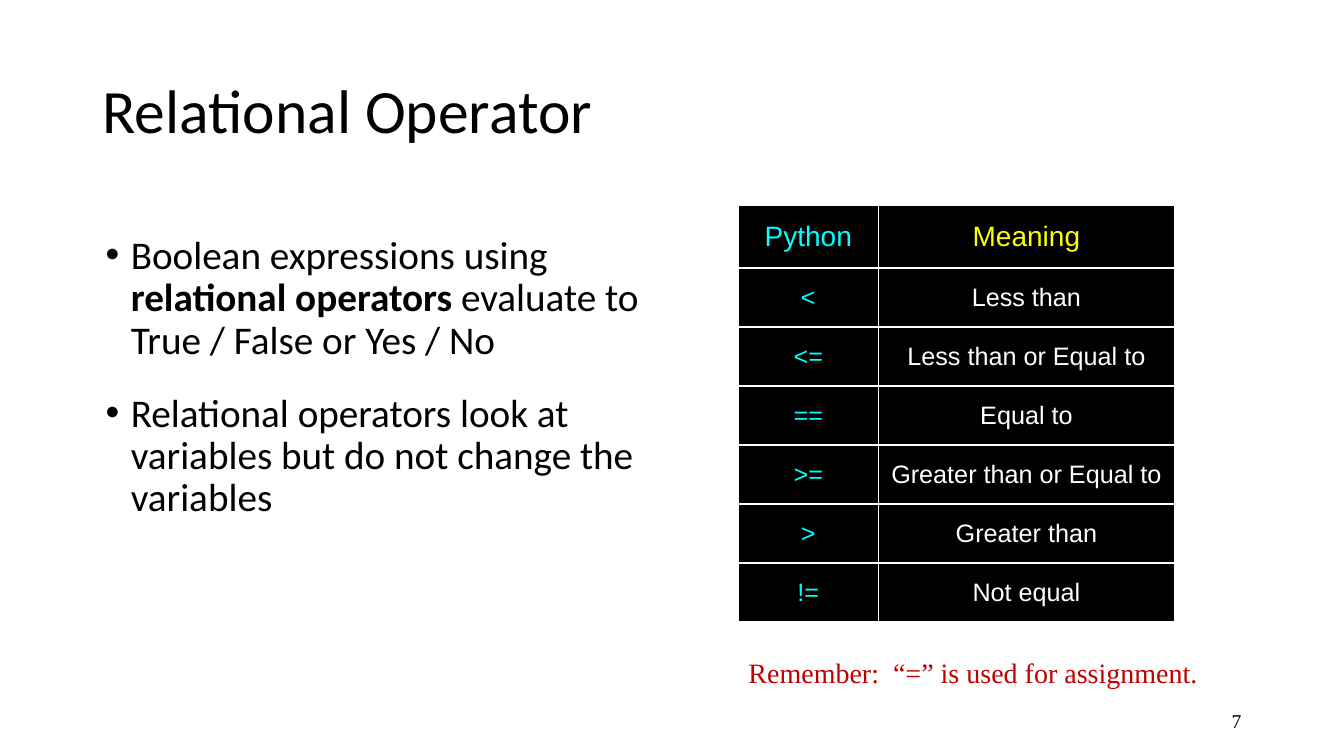
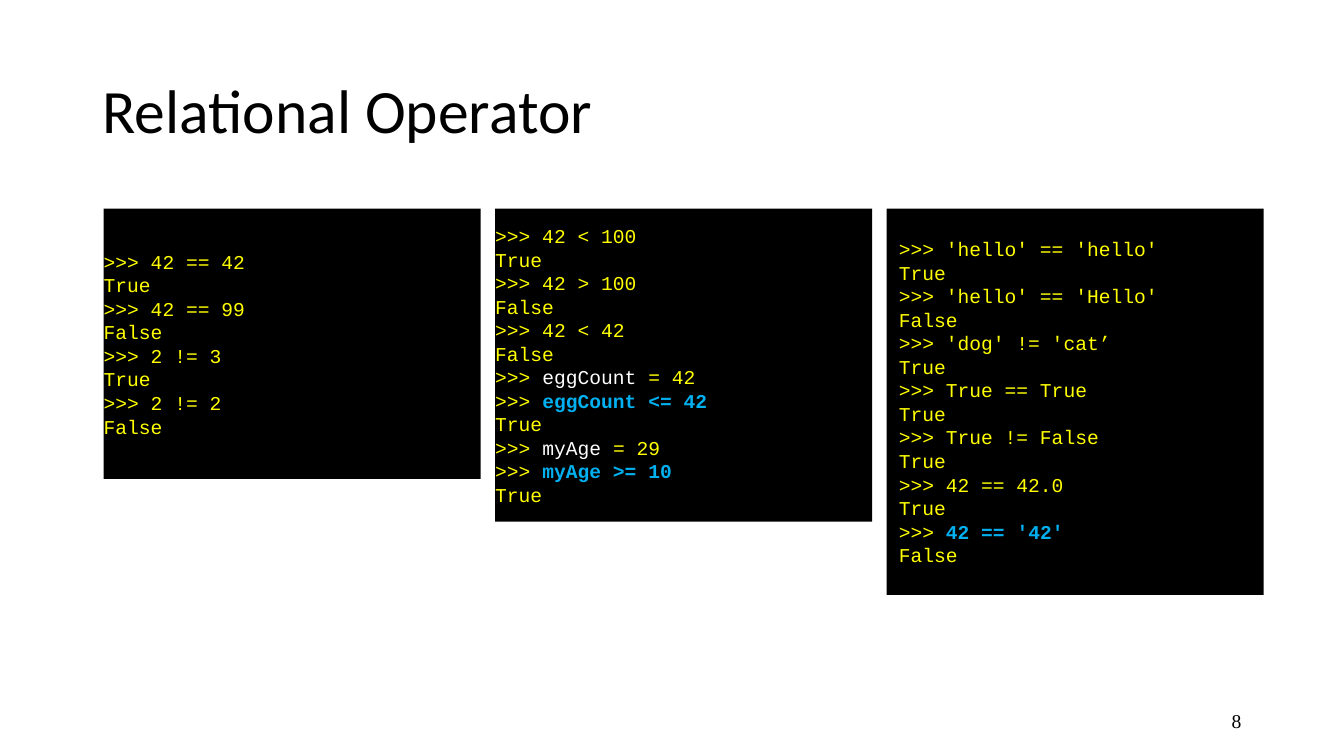
import collections

import lxml.etree
import pptx
import pptx.dml.color
import pptx.enum.shapes
import pptx.enum.text
import pptx.oxml.ns
import pptx.util

RGBColor = pptx.dml.color.RGBColor
BLACK = RGBColor(0x00, 0x00, 0x00)
WHITE = RGBColor(0xFF, 0xFF, 0xFF)
CYAN = RGBColor(0x00, 0xFF, 0xFF)
YELLOW = RGBColor(0xFF, 0xFF, 0x00)
BLUE = RGBColor(0x00, 0xB0, 0xF0)
RED = RGBColor(0xC0, 0x00, 0x00)

ALIGN = pptx.enum.text.PP_ALIGN
ANCHOR = pptx.enum.text.MSO_ANCHOR
SLIDE_WIDTH = pptx.util.Inches(13.34)
SLIDE_HEIGHT = pptx.util.Inches(7.5)
TEXT_INSETS = (0.1, 0.05)
BULLET_INDENT = pptx.util.Inches(0.25)
BORDER_WIDTH = pptx.util.Pt(0.96)

Box = collections.namedtuple("Box", "left top width height")
Run = collections.namedtuple("Run", "text color bold", defaults=(None, False))

OPERATORS = [
    ("Python", "Meaning"),
    ("<", "Less than"),
    ("<=", "Less than or Equal to"),
    ("==", "Equal to"),
    (">=", "Greater than or Equal to"),
    (">", "Greater than"),
    ("!=", "Not equal"),
]

EXPLANATION = [
    [Run("Boolean expressions using "), Run("relational operators ", bold=True),
     Run("evaluate to True / False or Yes / No")],
    "Relational operators look at variables but do not change the variables",
]

NUMBER_SESSION = [
    ">>> 42 == 42", "True",
    ">>> 42 == 99", "False",
    ">>> 2 != 3", "True",
    ">>> 2 != 2", "False",
]

VARIABLE_SESSION = [
    ">>> 42 < 100", "True",
    ">>> 42 > 100", "False",
    ">>> 42 < 42", "False",
    [Run(">>> "), Run("eggCount", WHITE), Run(" = 42")],
    [Run(">>> "), Run("eggCount <= 42", BLUE, True)], "True",
    [Run(">>> "), Run("myAge", WHITE), Run(" = 29")],
    [Run(">>> "), Run("myAge >= 10", BLUE, True)], "True",
]

TYPE_SESSION = [
    ">>> 'hello' == 'hello'", "True",
    ">>> 'hello' == 'Hello'", "False",
    ">>> 'dog' != 'cat’", "True",
    ">>> True == True", "True",
    ">>> True != False", "True",
    ">>> 42 == 42.0", "True",
    [Run(">>> "), Run("42 == '42'", BLUE, True)], "False",
]

# Lines, share of the region's height, left inset in inches
SESSIONS = [
    (NUMBER_SESSION, 0.7, 0),
    (VARIABLE_SESSION, 0.81, 0),
    (TYPE_SESSION, 1, 0.12),
]


def percent_box(left, top, width, height):
    """Turn percentages of the slide's size into a box."""
    return Box(int(SLIDE_WIDTH * left / 100), int(SLIDE_HEIGHT * top / 100),
               int(SLIDE_WIDTH * width / 100), int(SLIDE_HEIGHT * height / 100))


def add_bullet(paragraph):
    properties = paragraph._p.get_or_add_pPr()
    properties.set("marL", str(BULLET_INDENT))
    properties.set("indent", str(-BULLET_INDENT))
    for tag, attribute, value in (("a:buFont", "typeface", "Arial"),
                                  ("a:buChar", "char", "•")):
        mark = lxml.etree.SubElement(properties, pptx.oxml.ns.qn(tag))
        mark.set(attribute, value)


def write_text(frame, paragraphs, *, font, size, color, align=ALIGN.LEFT,
               line_spacing=None, gap=0, bullets=False):
    """Fill a text frame; each paragraph is a string or a list of runs."""
    for index, content in enumerate(paragraphs):
        paragraph = frame.add_paragraph() if index else frame.paragraphs[0]
        paragraph.alignment = align
        if line_spacing:
            paragraph.line_spacing = line_spacing
        if index and gap:
            paragraph.space_before = pptx.util.Pt(gap)
        if bullets:
            add_bullet(paragraph)
        for part in [Run(content)] if isinstance(content, str) else content:
            run = paragraph.add_run()
            run.text = part.text
            run.font.name = font
            run.font.size = pptx.util.Pt(size)
            run.font.bold = part.bold
            run.font.color.rgb = part.color or color


def set_frame(frame, anchor, left_inset, right_inset, vertical_inset):
    frame.word_wrap = True
    frame.vertical_anchor = anchor
    frame.margin_left = pptx.util.Inches(left_inset)
    frame.margin_right = pptx.util.Inches(right_inset)
    frame.margin_top = frame.margin_bottom = pptx.util.Inches(vertical_inset)


def add_text(slide, box, paragraphs, anchor=ANCHOR.TOP, **text_format):
    frame = slide.shapes.add_textbox(*box).text_frame
    horizontal, vertical = TEXT_INSETS
    set_frame(frame, anchor, horizontal, horizontal, vertical)
    write_text(frame, paragraphs, **text_format)


def add_titled_slide(presentation, title, number):
    slide = presentation.slides.add_slide(presentation.slide_layouts[6])
    add_text(slide, percent_box(6.9, 5.3, 86.2, 19.3), [title], ANCHOR.MIDDLE,
             font="Calibri", size=44, color=BLACK, line_spacing=0.9)
    add_text(slide, percent_box(70.6, 92.7, 22.5, 5.3), [str(number)],
             ANCHOR.MIDDLE, font="Times New Roman", size=14, color=BLACK,
             align=ALIGN.RIGHT)
    return slide


def add_cell_borders(cell):
    properties = cell._tc.get_or_add_tcPr()
    for position, side in enumerate(("a:lnL", "a:lnR", "a:lnT", "a:lnB")):
        line = properties.makeelement(pptx.oxml.ns.qn(side),
                                      {"w": str(BORDER_WIDTH)})
        fill = lxml.etree.SubElement(line, pptx.oxml.ns.qn("a:solidFill"))
        tint = lxml.etree.SubElement(fill, pptx.oxml.ns.qn("a:srgbClr"))
        tint.set("val", str(WHITE))
        properties.insert(position, line)


def add_operator_table(slide, box):
    table = slide.shapes.add_table(len(OPERATORS), 2, *box).table
    table.first_row = table.horz_banding = False
    for column, share in zip(table.columns, (0.32, 0.68)):
        column.width = int(box.width * share)
    header_share = 0.15
    body_share = (1 - header_share) / (len(OPERATORS) - 1)
    for row_index, texts in enumerate(OPERATORS):
        is_header = row_index == 0
        table.rows[row_index].height = int(
            box.height * (header_share if is_header else body_share))
        colors = (CYAN, YELLOW if is_header else WHITE)
        for column_index, (text, color) in enumerate(zip(texts, colors)):
            cell = table.cell(row_index, column_index)
            cell.fill.solid()
            cell.fill.fore_color.rgb = BLACK
            cell.vertical_anchor = ANCHOR.MIDDLE
            cell.margin_left = cell.margin_right = pptx.util.Inches(0.04)
            cell.margin_top = cell.margin_bottom = pptx.util.Inches(0.05)
            add_cell_borders(cell)
            write_text(cell.text_frame, [text], font="Arial", color=color,
                       size=20 if is_header else 18, align=ALIGN.CENTER)


def add_code_panel(slide, box, lines, left_inset):
    panel = slide.shapes.add_shape(
        pptx.enum.shapes.MSO_SHAPE.RECTANGLE, *box)
    panel.shadow.inherit = False
    panel.fill.solid()
    panel.fill.fore_color.rgb = BLACK
    panel.line.fill.background()
    set_frame(panel.text_frame, ANCHOR.MIDDLE, left_inset, 0, 0)
    write_text(panel.text_frame, lines, font="Courier New", size=14,
               color=YELLOW)


def add_code_columns(slide, box):
    """Place the sessions side by side, with equal widths and gaps."""
    gap = box.width * 0.0126
    width = (box.width - gap * (len(SESSIONS) - 1)) / len(SESSIONS)
    for index, (lines, height_share, left_inset) in enumerate(SESSIONS):
        column = Box(int(box.left + index * (width + gap)), box.top,
                     int(width), int(box.height * height_share))
        add_code_panel(slide, column, lines, left_inset)


def build_operator_slide(presentation, title, number):
    slide = add_titled_slide(presentation, title, number)
    add_text(slide, percent_box(7.12, 30.5, 43.5, 55.6), EXPLANATION,
             font="Calibri", size=28, color=BLACK, line_spacing=0.9, gap=22,
             bullets=True)
    add_operator_table(slide, percent_box(54.95, 27.2, 32.46, 55.07))
    add_text(slide, percent_box(54.95, 86.1, 37.5, 5.9),
             ["Remember:  “=” is used for assignment."],
             font="Times New Roman", size=20, color=RED)


def build_session_slide(presentation, title, number):
    slide = add_titled_slide(presentation, title, number)
    add_code_columns(slide, percent_box(7.72, 27.6, 86.3, 51.1))


def main():
    presentation = pptx.Presentation()
    presentation.slide_width = SLIDE_WIDTH
    presentation.slide_height = SLIDE_HEIGHT
    builders = (build_operator_slide, build_session_slide)
    for number, build_slide in enumerate(builders, start=7):
        build_slide(presentation, "Relational Operator", number)
    presentation.save("out.pptx")


if __name__ == "__main__":
    main()
